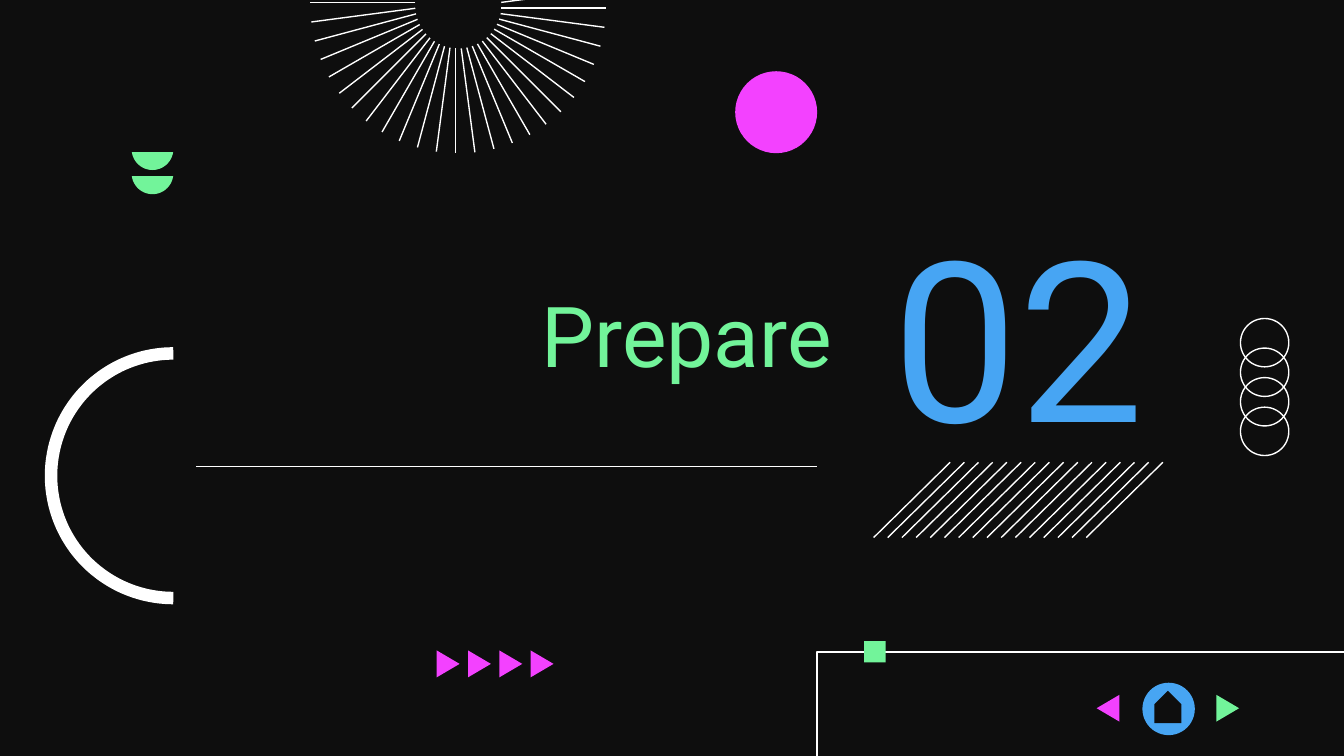
from dataclasses import dataclass
from math import cos, radians, sin

from lxml import etree
from pptx import Presentation
from pptx.dml.color import RGBColor
from pptx.enum import shapes, text
from pptx.oxml.ns import qn
from pptx.util import Inches, Pt

WIDTH = 10
HEIGHT = WIDTH * 9 / 16
DARK, WHITE = "0E0E0E", "FFFFFF"
PINK, GREEN, BLUE = "F341FF", "72F49A", "47A5F3"
Point = tuple[float, float]


@dataclass
class Heading:
    text: str
    left: float
    top: float
    width: float
    height: float
    size: float
    color: str
    align: text.PP_ALIGN


@dataclass
class Triangle:
    left: float
    top: float
    color: str
    points_left: bool = False


def rgb(color: str) -> RGBColor:
    return RGBColor.from_string(color)


def paint(sp, fill: str | None = None, line: str | None = None, weight: float = 0.75) -> None:
    sp.shadow.inherit = False
    if fill:
        sp.fill.solid()
        sp.fill.fore_color.rgb = rgb(fill)
    else:
        sp.fill.background()
    if line:
        sp.line.color.rgb = rgb(line)
        sp.line.width = Pt(weight)
    else:
        sp.line.fill.background()


def add_preset(s, kind, left: float, top: float, width: float, height: float, **style):
    sp = s.shapes.add_shape(kind, Inches(left), Inches(top), Inches(width), Inches(height))
    paint(sp, **style)
    return sp


def add_outline(s, points: list[Point], close: bool = True, **style) -> None:
    corners = [(Inches(x), Inches(y)) for x, y in points]
    builder = s.shapes.build_freeform(*corners[0])
    builder.add_line_segments(corners[1:], close=close)
    paint(builder.convert_to_shape(), **style)


def add_line(s, start: Point, end: Point) -> None:
    line = s.shapes.add_connector(
        shapes.MSO_CONNECTOR.STRAIGHT, *(Inches(v) for v in start + end))
    line.line.color.rgb = rgb(WHITE)
    line.line.width = Pt(0.75)
    etree.SubElement(line._element.spPr, qn("a:effectLst"))


def arc(cx: float, cy: float, radius: float, start: int, end: int) -> list[Point]:
    """Points along an arc, in degrees clockwise from the right."""
    return [(cx + radius * cos(radians(a)), cy + radius * sin(radians(a)))
            for a in range(start, end + 1, 2)]


def add_triangle(s, t: Triangle) -> None:
    base, tip = (t.left + 0.17, t.left) if t.points_left else (t.left, t.left + 0.17)
    add_outline(s, [(base, t.top), (tip, t.top + 0.1), (base, t.top + 0.2)], fill=t.color)


def add_sunburst(s, cx: float, cy: float) -> None:
    """Rays 7.5 degrees apart, each shifted a little sideways from the centre."""
    shift = 0.02
    for i in range(-1, 25):
        c, d = cos(radians(7.5 * i)), sin(radians(7.5 * i))
        inner, outer = ((cx + r * c - shift * d, cy + r * d + shift * c) for r in (0.32, 1.1))
        add_line(s, inner, outer)


def fill_heading(sp, h: Heading) -> None:
    sp.left, sp.top = Inches(h.left), Inches(h.top)
    sp.width, sp.height = Inches(h.width), Inches(h.height)
    tf = sp.text_frame
    tf.text = h.text
    tf.word_wrap = True
    tf.auto_size = text.MSO_AUTO_SIZE.NONE
    tf.vertical_anchor = text.MSO_ANCHOR.TOP
    tf.margin_left = tf.margin_right = tf.margin_bottom = Inches(0.1)
    tf.margin_top = 0
    p = tf.paragraphs[0]
    p.alignment = h.align
    p.line_spacing = 1.0
    p.space_before = Pt(0)
    font = p.runs[0].font
    font.name, font.size = "Roboto", Pt(h.size)
    font.color.rgb = rgb(h.color)


def main() -> None:
    prs = Presentation()
    prs.slide_width, prs.slide_height = Inches(WIDTH), Inches(HEIGHT)
    s = prs.slides.add_slide(prs.slide_layouts[0])
    s.background.fill.solid()
    s.background.fill.fore_color.rgb = rgb(DARK)
    oval = shapes.MSO_SHAPE.OVAL

    headings = [
        Heading("Prepare", 1.36, 2.11, 4.93, 1.41, 45, GREEN, text.PP_ALIGN.RIGHT),
        Heading("02", 6.17, 1.48, 2.82, 1.75, 120, BLUE, text.PP_ALIGN.CENTER),
    ]
    for sp, heading in zip(s.placeholders, headings):
        fill_heading(sp, heading)

    for i in range(4):
        add_preset(s, oval, 9.23, 2.37 + 0.22 * i, 0.36, 0.36, line=WHITE)
    add_preset(s, oval, 5.47, 0.53, 0.61, 0.61, fill=PINK)

    add_outline(s, [(WIDTH, 4.85), (6.08, 4.85), (6.08, HEIGHT)], close=False, line=WHITE)
    add_preset(s, shapes.MSO_SHAPE.RECTANGLE, 6.43, 4.77, 0.16, 0.16, fill=GREEN)

    for top in (1.13, 1.31):
        add_outline(s, arc(1.135, top - 0.02, 0.155, 8, 172), fill=GREEN)
    add_outline(s, arc(1.29, 3.54, 0.91, 90, 270), close=False, line=WHITE, weight=6.69)

    add_sunburst(s, 3.41, 0.04)
    add_line(s, (1.46, 3.47), (6.08, 3.47))
    for i in range(16):
        x = 6.5 + 0.1055 * i
        add_line(s, (x + 0.57, 3.44), (x, 4))

    add_preset(s, oval, 8.5, 5.08, 0.39, 0.39, fill=BLUE)
    home = add_preset(s, shapes.MSO_SHAPE.PENTAGON, 8.57, 5.16, 0.24, 0.2, fill=DARK)
    home.rotation = 270

    triangles = [Triangle(3.25 + 0.233 * i, 4.84, PINK) for i in range(4)]
    triangles += [Triangle(8.16, 5.17, PINK, points_left=True), Triangle(9.05, 5.17, GREEN)]
    for t in triangles:
        add_triangle(s, t)

    prs.save("out.pptx")


if __name__ == "__main__":
    main()
